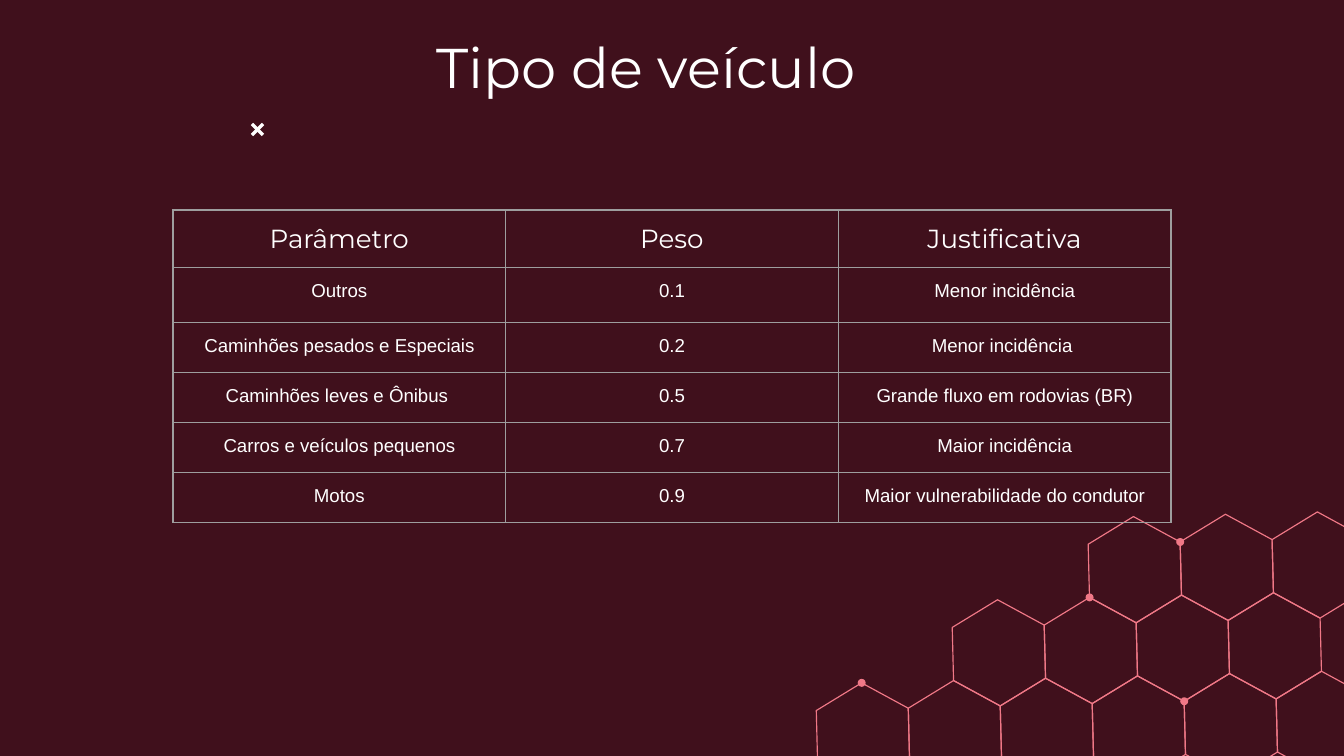
from dataclasses import dataclass
from math import cos, radians, sin, sqrt

from lxml.etree import SubElement
from pptx import Presentation
from pptx.dml.color import RGBColor as Color
from pptx.enum.shapes import MSO_CONNECTOR as Connector, MSO_SHAPE as Shape
from pptx.enum.text import MSO_ANCHOR as Anchor, MSO_AUTO_SIZE as AutoSize, PP_ALIGN as Align
from pptx.oxml.ns import qn
from pptx.util import Emu, Pt


@dataclass(frozen=True)
class Theme:
    background: str = "40101C"
    text: str = "FFFFFF"
    accent: str = "F07887"
    border: str = "9E9E9E"
    heading_font: str = "Montserrat"
    body_font: str = "Arial"
    title_size: int = 30
    header_size: int = 14
    body_size: int = 10


THEME = Theme()
EMU_PER_PX = 914400 / 134.4
PAGE_SIZE = (1344, 756)
INSET = 13

TITLE = "Tipo de veículo "
ROWS = [
    ("Parâmetro", "Peso", "Justificativa"),
    ("Outros", "0.1", "Menor incidência"),
    ("Caminhões pesados e Especiais", "0.2", "Menor incidência "),
    ("Caminhões leves e Ônibus ", "0.5", "Grande fluxo em rodovias (BR)"),
    ("Carros e veículos pequenos", "0.7", "Maior incidência"),
    ("Motos", "0.9", "Maior vulnerabilidade do condutor"),
]
ROW_HEIGHTS = [55, 55, 50, 50, 50, 50]

HEX_PITCH = 92
HEX_TILT = -1.45
HEX_COLUMNS = [range(0, 6), range(1, 5), range(2, 5)]  # bottom row first
# column, row and corner angle of each marked vertex
HEX_DOTS = [(0, 0, -90), (2, 1, -90), (3, 2, -150), (4, 0, -150)]
DOT_SIZE = 8


def px(value):
    return Emu(round(value * EMU_PER_PX))


def style_paragraph(para, font, size):
    para.alignment = Align.CENTER
    para.font.name = font
    para.font.size = Pt(size)
    para.font.color.rgb = Color.from_string(THEME.text)


def set_margins(holder):
    for side in ("left", "top", "right", "bottom"):
        setattr(holder, f"margin_{side}", px(INSET))


def polar(point, length, angle):
    """Move a point along an angle in degrees, measured in the tilted grid."""
    turn = radians(angle + HEX_TILT)
    return point[0] + length * cos(turn), point[1] + length * sin(turn)


def place_honeycomb(page, origin):
    """Draw the hexagon rows; origin is the centre of the lower left cell."""
    radius = HEX_PITCH / sqrt(3)

    def corner(column, row, angle):
        centre = polar(polar(origin, column * HEX_PITCH, 0), row * HEX_PITCH, -60)
        return polar(centre, radius, angle)

    for row, columns in enumerate(HEX_COLUMNS):
        for column in columns:
            points = [tuple(map(px, corner(column, row, angle)))
                      for angle in range(-150, 210, 60)]
            builder = page.shapes.build_freeform(*points[0], scale=1.0)
            builder.add_line_segments(points[1:], close=True)
            hexagon = builder.convert_to_shape()
            hexagon.shadow.inherit = False
            hexagon.fill.background()
            hexagon.line.color.rgb = Color.from_string(THEME.accent)
            hexagon.line.width = Pt(0.61)

    for column, row, angle in HEX_DOTS:
        x, y = corner(column, row, angle)
        dot = page.shapes.add_shape(Shape.OVAL, px(x - DOT_SIZE / 2), px(y - DOT_SIZE / 2),
                                    px(DOT_SIZE), px(DOT_SIZE))
        dot.shadow.inherit = False
        dot.fill.solid()
        dot.fill.fore_color.rgb = Color.from_string(THEME.accent)
        dot.line.fill.background()


def place_title(page, left, top, width, height):
    title = page.shapes.title
    title.left, title.top, title.width, title.height = map(px, (left, top, width, height))
    frame = title.text_frame
    frame.text = TITLE
    frame.word_wrap = True
    frame.auto_size = AutoSize.NONE
    frame.vertical_anchor = Anchor.TOP
    set_margins(frame)
    style_paragraph(frame.paragraphs[0], THEME.heading_font, THEME.title_size)


def place_cross(page, left, top, size):
    right, bottom = left + size, top + size
    for start_y, end_y in ((bottom, top), (top, bottom)):
        stroke = page.shapes.add_connector(
            Connector.STRAIGHT, px(left), px(start_y), px(right), px(end_y))
        stroke.line.color.rgb = Color.from_string(THEME.text)
        stroke.line.width = Pt(1.84)
        SubElement(stroke.element.spPr, qn("a:effectLst"))


def add_borders(cell):
    properties = cell._tc.get_or_add_tcPr()
    for position, side in enumerate(("lnL", "lnR", "lnT", "lnB")):
        line = SubElement(properties, qn(f"a:{side}"), w=str(Pt(0.75)))
        fill = SubElement(line, qn("a:solidFill"))
        SubElement(fill, qn("a:srgbClr"), val=THEME.border)
        properties.insert(position, line)


def place_table(page, left, top, width):
    columns = len(ROWS[0])
    table = page.shapes.add_table(len(ROWS), columns, px(left), px(top),
                                  px(width), px(sum(ROW_HEIGHTS))).table
    table.first_row = table.horz_banding = False
    for column in table.columns:
        column.width = px(width / columns)
    for index, (texts, height) in enumerate(zip(ROWS, ROW_HEIGHTS)):
        table.rows[index].height = px(height)
        if index == 0:
            font, size = THEME.heading_font, THEME.header_size
        else:
            font, size = THEME.body_font, THEME.body_size
        for column, text in enumerate(texts):
            cell = table.cell(index, column)
            cell.text = text
            cell.fill.background()
            cell.vertical_anchor = Anchor.TOP
            set_margins(cell)
            add_borders(cell)
            style_paragraph(cell.text_frame.paragraphs[0], font, size)


def main():
    deck = Presentation()
    deck.slide_width, deck.slide_height = map(px, PAGE_SIZE)
    page = deck.slides.add_slide(deck.slide_layouts[5])
    page.background.fill.solid()
    page.background.fill.fore_color.rgb = Color.from_string(THEME.background)

    place_honeycomb(page, (863, 736))
    place_title(page, 87, 20, 1133, 74)
    place_cross(page, 252, 124, 11)
    place_table(page, 173, 210, 998)
    deck.save("out.pptx")


if __name__ == "__main__":
    main()
